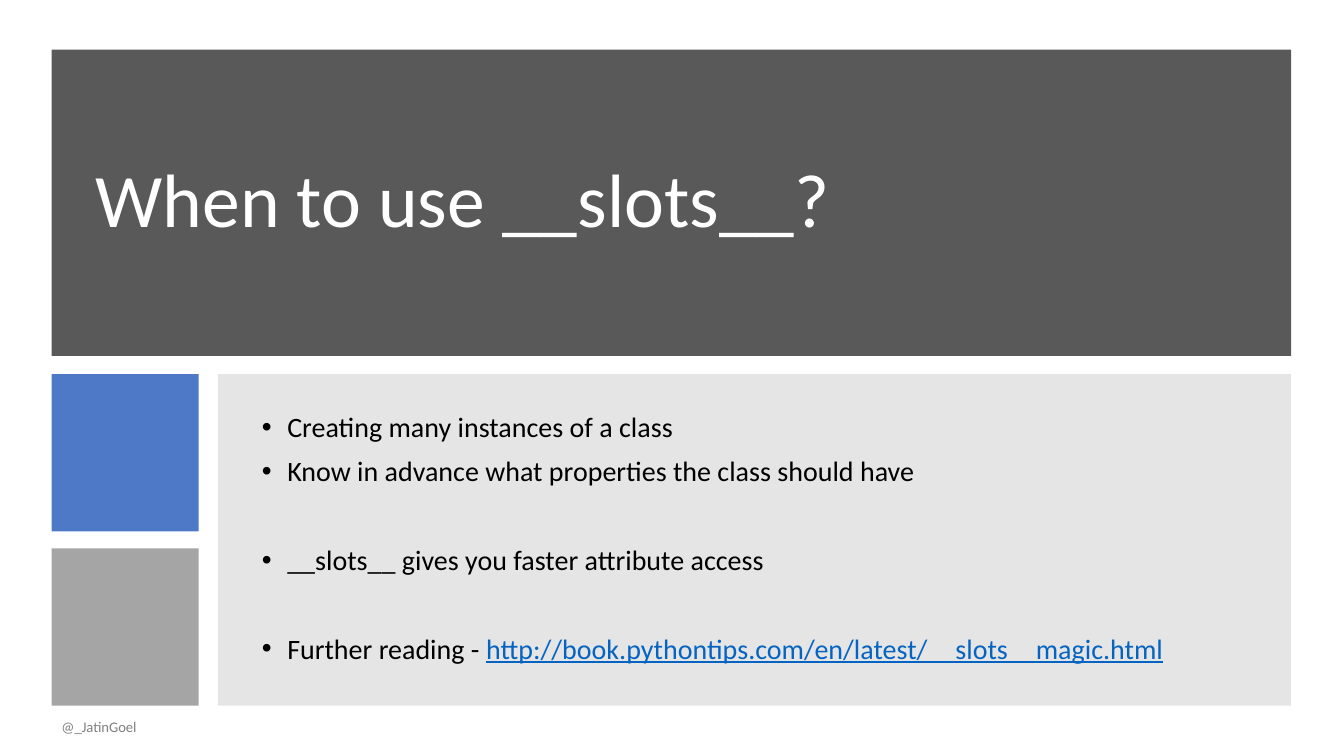
import pptx
import pptx.util
import pptx.dml.color
import pptx.enum.shapes
import pptx.enum.text
import pptx.oxml.ns
import lxml.etree

Cm = pptx.util.Cm
Pt = pptx.util.Pt
RGBColor = pptx.dml.color.RGBColor

WHITE = RGBColor(0xFF, 0xFF, 0xFF)
BLACK = RGBColor(0x00, 0x00, 0x00)
CHARCOAL = RGBColor(0x59, 0x59, 0x59)
BLUE = RGBColor(0x44, 0x72, 0xC4)
SILVER = RGBColor(0xA5, 0xA5, 0xA5)
GRAY = RGBColor(0x80, 0x80, 0x80)
LINK_BLUE = RGBColor(0x05, 0x63, 0xC1)

TITLE_FORMAT = {"name": "Calibri", "size": Pt(54)}
BODY_FORMAT = {"name": "Calibri", "size": Pt(20)}
FOOTER_FORMAT = {"name": "Calibri", "size": Pt(10.5)}
LINK_FORMAT = {"underline": True}

LINE_GAP = 10
GROUP_GAP = 41.8
BULLETS = [
    (0, "Creating many instances of a class", ""),
    (LINE_GAP, "Know in advance what properties the class should have", ""),
    (GROUP_GAP, "__slots__ gives you faster attribute access", ""),
    (GROUP_GAP, "Further reading - ", "http://book.pythontips.com/en/latest/__slots__magic.html"),
]


def set_font(font, values, color):
    """Apply a dict of format values and a colour to a font."""
    for name, value in values.items():
        setattr(font, name, value)
    font.color.rgb = color


def add_panel(slide, box, color, opacity=100):
    """Draw a plain filled rectangle, opacity in percent."""
    shape = slide.shapes.add_shape(
        pptx.enum.shapes.MSO_SHAPE.RECTANGLE, *map(Cm, box))
    shape.shadow.inherit = False
    shape.fill.solid()
    shape.fill.fore_color.rgb = color
    shape.line.fill.background()
    if opacity < 100:
        color_element = shape.fill._xPr.find(".//" + pptx.oxml.ns.qn("a:srgbClr"))
        alpha = lxml.etree.SubElement(color_element, pptx.oxml.ns.qn("a:alpha"))
        alpha.set("val", str(opacity * 1000))


def add_text_frame(slide, box):
    """Add a wrapping, vertically centred text box and return its frame."""
    frame = slide.shapes.add_textbox(*map(Cm, box)).text_frame
    frame.word_wrap = True
    frame.vertical_anchor = pptx.enum.text.MSO_ANCHOR.MIDDLE
    return frame


def add_bullet(paragraph):
    """Give a paragraph a hanging round bullet."""
    properties = paragraph._p.get_or_add_pPr()
    properties.set("marL", str(Cm(0.64)))
    properties.set("indent", str(-Cm(0.64)))
    font = lxml.etree.SubElement(properties, pptx.oxml.ns.qn("a:buFont"))
    font.set("typeface", "Arial")
    bullet = lxml.etree.SubElement(properties, pptx.oxml.ns.qn("a:buChar"))
    bullet.set("char", "•")


def add_title_region(slide, box):
    """Draw the dark banner with the title."""
    left, top, width, height = box
    add_panel(slide, box, CHARCOAL)
    frame = add_text_frame(
        slide, (left + 0.86, top + 0.86, width - 1.72, height - 1.72))
    paragraph = frame.paragraphs[0]
    paragraph.text = "When to use __slots__?"
    paragraph.line_spacing = 0.9
    set_font(paragraph.font, TITLE_FORMAT, WHITE)


def add_accent_region(slide, box):
    """Stack the two accent blocks in a column."""
    left, top, width, height = box
    gap = 0.43
    block = (height - gap) / 2
    add_panel(slide, (left, top, width, block), BLUE, 95)
    add_panel(slide, (left, top + block + gap, width, block), SILVER)


def add_body_region(slide, box):
    """Draw the pale panel with the bullet list."""
    left, top, width, height = box
    add_panel(slide, box, GRAY, 20)
    frame = add_text_frame(
        slide, (left + 0.86, top + 0.72, width - 1.72, height - 1.48))
    for index, (space, text, address) in enumerate(BULLETS):
        paragraph = frame.add_paragraph() if index else frame.paragraphs[0]
        paragraph.line_spacing = 0.9
        paragraph.space_before = Pt(space)
        add_bullet(paragraph)
        set_font(paragraph.font, BODY_FORMAT, BLACK)
        for part, values, color in (
                (text, BODY_FORMAT, BLACK),
                (address, BODY_FORMAT | LINK_FORMAT, LINK_BLUE)):
            if part:
                run = paragraph.add_run()
                run.text = part
                set_font(run.font, values, color)


def add_footer_region(slide, box):
    """Write the author handle."""
    paragraph = add_text_frame(slide, box).paragraphs[0]
    paragraph.text = "@_JatinGoel"
    set_font(paragraph.font, FOOTER_FORMAT, GRAY)


def main():
    """Build and save the slide."""
    presentation = pptx.Presentation()
    presentation.slide_width = Cm(33.87)
    presentation.slide_height = Cm(19.05)
    slide = presentation.slides.add_slide(presentation.slide_layouts[6])
    add_title_region(slide, (1.3, 1.25, 31.24, 7.72))
    add_accent_region(slide, (1.3, 9.43, 3.71, 8.35))
    add_body_region(slide, (5.49, 9.43, 27.05, 8.35))
    add_footer_region(slide, (1.3, 17.81, 18.54, 1.02))
    presentation.save("out.pptx")


if __name__ == "__main__":
    main()
